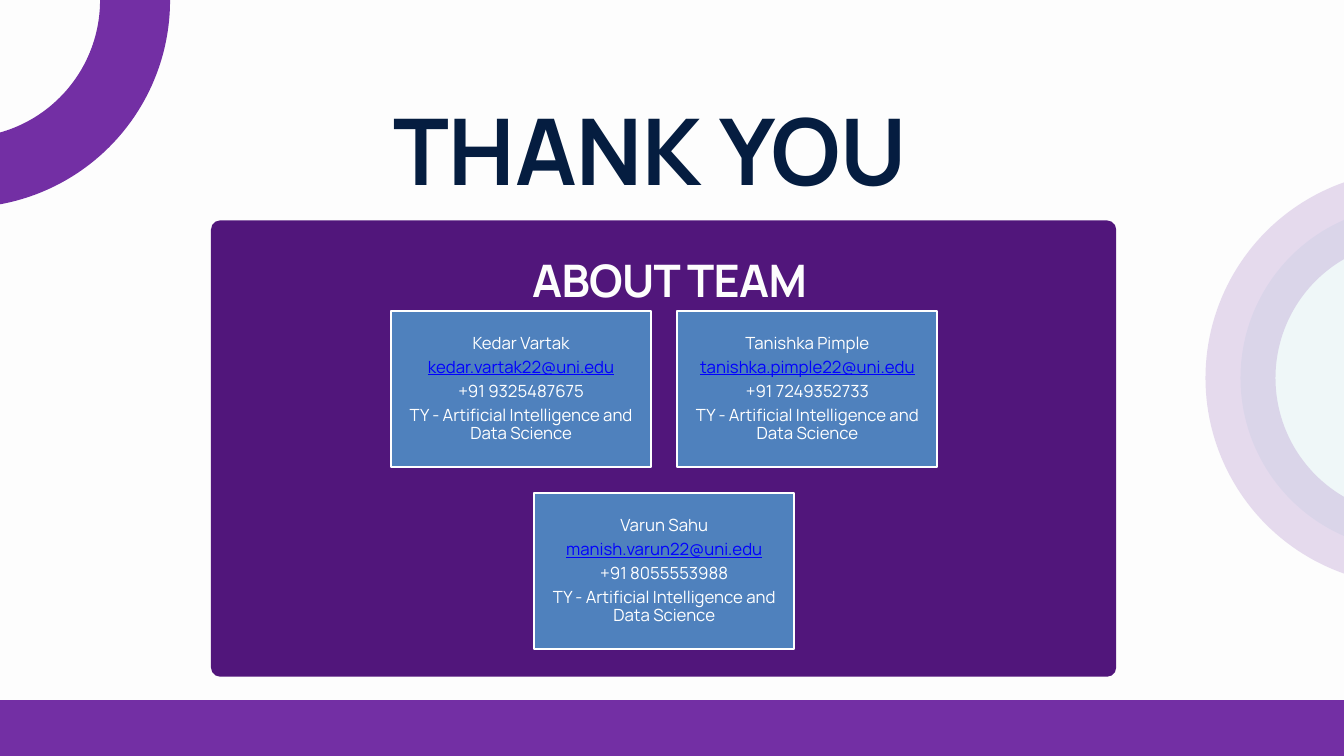
from dataclasses import dataclass

from lxml import etree
from pptx import Presentation
from pptx.dml.color import RGBColor
from pptx.enum.shapes import MSO_SHAPE
from pptx.enum.text import MSO_ANCHOR, MSO_AUTO_SIZE, PP_ALIGN
from pptx.oxml.ns import qn
from pptx.shapes.autoshape import Shape
from pptx.slide import Slide
from pptx.text.text import TextFrame
from pptx.util import Pt

RECTANGLE, ROUNDED, OVAL = MSO_SHAPE.RECTANGLE, MSO_SHAPE.ROUNDED_RECTANGLE, MSO_SHAPE.OVAL
TOP, MIDDLE = MSO_ANCHOR.TOP, MSO_ANCHOR.MIDDLE
LEFT, CENTER, JUSTIFY = PP_ALIGN.LEFT, PP_ALIGN.CENTER, PP_ALIGN.JUSTIFY
NO_AUTOFIT = MSO_AUTO_SIZE.NONE
TITLE_ONLY_LAYOUT = 5
EMU_PER_PX = 9144  # 100 px to the inch


@dataclass(frozen=True)
class Theme:
    font: str = "Manrope"
    background: str = "FDFDFD"
    purple: str = "732FA4"
    panel: str = "51167B"
    mint: str = "A8DDE2"
    navy: str = "051D40"
    card: str = "4F81BD"
    white: str = "FFFFFF"
    link: str = "0000FF"
    title_size: float = 98.6
    heading_size: float = 48
    card_size: float = 18
    ring_width: float = 75
    card_border: float = 2


@dataclass(frozen=True)
class Box:
    left: int
    top: int
    width: int
    height: int


@dataclass(frozen=True)
class Member:
    name: str
    email: str
    phone: str


THEME = Theme()
COURSE = "TY - Artificial Intelligence and Data Science"
TEAM_ROWS = [
    [
        Member("Kedar Vartak", "kedar.vartak22@uni.edu", "+91 9325487675"),
        Member("Tanishka Pimple", "tanishka.pimple22@uni.edu", "+91 7249352733"),
    ],
    [Member("Varun Sahu", "manish.varun22@uni.edu", "+91 8055553988")],
]
RING_DIAMETER = 513
CARD_WIDTH, CARD_HEIGHT, CARD_GAP = 387, 232, 39
CARDS_CENTER, CARDS_TOP = 988, 463


def px(value: int) -> int:
    return value * EMU_PER_PX


def rgb(color: str) -> RGBColor:
    return RGBColor.from_string(color)


def add_shape(slide: Slide, kind: MSO_SHAPE, box: Box, fill: str | None = None,
              line: str | None = None, line_width: float = 0) -> Shape:
    shape = slide.shapes.add_shape(kind, px(box.left), px(box.top), px(box.width), px(box.height))
    shape.shadow.inherit = False
    if fill:
        shape.fill.solid()
        shape.fill.fore_color.rgb = rgb(fill)
    else:
        shape.fill.background()
    if line:
        shape.line.color.rgb = rgb(line)
        shape.line.width = Pt(line_width)
    else:
        shape.line.fill.background()
    return shape


def set_opacity(shape: Shape, percent: int) -> None:
    """Apply one opacity to both the fill and the line."""
    for color in shape.element.spPr.iter(qn("a:srgbClr")):
        etree.SubElement(color, qn("a:alpha")).set("val", str(percent * 1000))


def add_ring(slide: Slide, center_x: int, center_y: int, fill: str | None = None) -> Shape:
    radius = RING_DIAMETER // 2
    box = Box(center_x - radius, center_y - radius, RING_DIAMETER, RING_DIAMETER)
    return add_shape(slide, OVAL, box, fill, THEME.purple, THEME.ring_width)


def set_frame(frame: TextFrame, inset: int, anchor: MSO_ANCHOR) -> None:
    frame.margin_left = frame.margin_right = px(inset)
    frame.margin_top = frame.margin_bottom = px(inset)
    frame.vertical_anchor = anchor
    frame.auto_size = NO_AUTOFIT
    frame.word_wrap = True


def write_heading(shape: Shape, box: Box, text: str, size: float, color: str,
                  alignment: PP_ALIGN, line_spacing: float) -> None:
    shape.left, shape.top = px(box.left), px(box.top)
    shape.width, shape.height = px(box.width), px(box.height)
    set_frame(shape.text_frame, 0, TOP)
    paragraph = shape.text_frame.paragraphs[0]
    paragraph.text = text
    paragraph.alignment = alignment
    paragraph.line_spacing = Pt(line_spacing)
    paragraph.font.name = THEME.font
    paragraph.font.size = Pt(size)
    paragraph.font.bold = True
    paragraph.font.color.rgb = rgb(color)


def add_member_card(slide: Slide, member: Member, left: int, top: int) -> None:
    card = add_shape(slide, RECTANGLE, Box(left, top, CARD_WIDTH, CARD_HEIGHT),
                     THEME.card, THEME.white, THEME.card_border)
    frame = card.text_frame
    set_frame(frame, 7, MIDDLE)
    lines = [member.name, member.email, member.phone, COURSE]
    frame.text = "\n".join(lines)
    for paragraph in frame.paragraphs:
        paragraph.alignment = CENTER
        paragraph.line_spacing = 0.9
        paragraph.space_after = Pt(6)
        paragraph.font.name = THEME.font
        paragraph.font.size = Pt(THEME.card_size)
        paragraph.font.color.rgb = rgb(THEME.white)
    email = frame.paragraphs[1].runs[0].font
    email.color.rgb = rgb(THEME.link)
    email.underline = True


def add_team(slide: Slide) -> None:
    """Lay out each row of cards centred on the same axis."""
    for row, members in enumerate(TEAM_ROWS):
        row_width = len(members) * (CARD_WIDTH + CARD_GAP) - CARD_GAP
        left = CARDS_CENTER - row_width // 2
        top = CARDS_TOP + row * (CARD_HEIGHT + CARD_GAP)
        for column, member in enumerate(members):
            add_member_card(slide, member, left + column * (CARD_WIDTH + CARD_GAP), top)


def main() -> None:
    presentation = Presentation()
    presentation.slide_width, presentation.slide_height = px(2000), px(1125)
    slide = presentation.slides.add_slide(presentation.slide_layouts[TITLE_ONLY_LAYOUT])
    slide.background.fill.solid()
    slide.background.fill.fore_color.rgb = rgb(THEME.background)

    add_shape(slide, RECTANGLE, Box(0, 1042, 2000, 83), THEME.purple)
    set_opacity(add_ring(slide, 2102, 562, THEME.mint), 16)
    add_ring(slide, -56, 0)
    panel = add_shape(slide, ROUNDED, Box(314, 328, 1347, 679), THEME.panel)
    panel.adjustments[0] = 0.02

    write_heading(slide.shapes.title, Box(585, 112, 830, 184), "THANK YOU",
                  THEME.title_size, THEME.navy, LEFT, 138.1)
    heading = slide.shapes.add_textbox(0, 0, 0, 0)
    write_heading(heading, Box(792, 391, 450, 68), "ABOUT TEAM",
                  THEME.heading_size, THEME.background, JUSTIFY, 46.7)
    heading.text_frame.paragraphs[0].runs[0].font._element.set("spc", "-70")
    add_team(slide)

    presentation.save("out.pptx")


if __name__ == "__main__":
    main()
